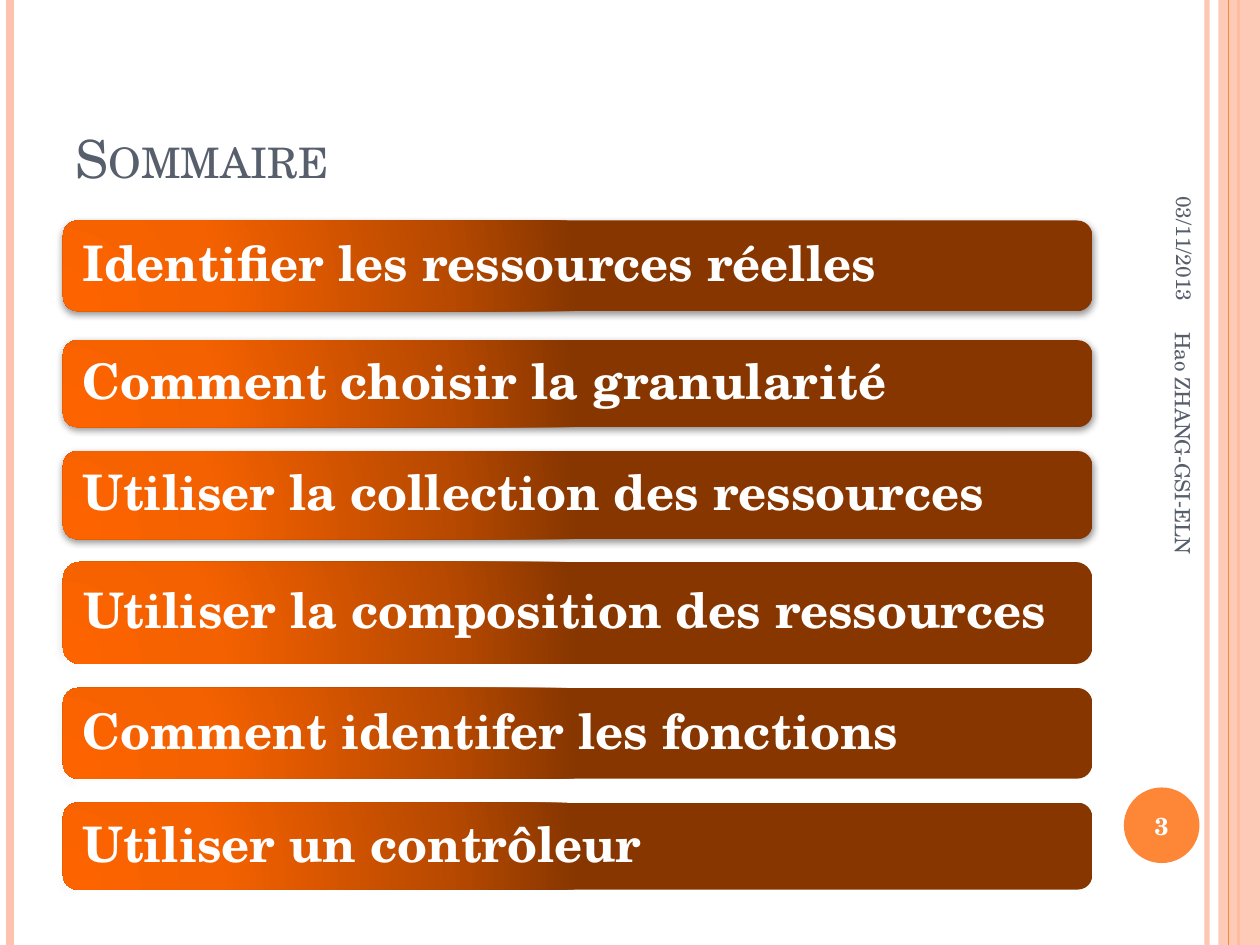
import dataclasses

import lxml.etree
import pptx
import pptx.dml.color
import pptx.enum.shapes
import pptx.enum.text
import pptx.oxml
import pptx.oxml.ns
import pptx.util

SHAPE = pptx.enum.shapes.MSO_SHAPE
ALIGN = pptx.enum.text.PP_ALIGN
ANCHOR = pptx.enum.text.MSO_ANCHOR
NS = pptx.oxml.ns.nsdecls("a")
COLS, ROWS = 100, 75


@dataclasses.dataclass(frozen=True)
class Theme:
    """Colours, font and type sizes of the deck."""
    font: str = "TeX Gyre Schola"
    ink: str = "575F6D"
    accent: str = "FE8637"
    pale: str = "FEC3AE"
    white: str = "FFFFFF"
    shadow: str = "000000"
    bar_stops: tuple = ((0, "FD6400"), (30, "F46100"), (75, "B74900"), (100, "873600"))
    title_size: int = 30
    bar_size: int = 28
    number_size: int = 14
    footer_size: int = 12


class Deck:
    """Holds the theme and the current slide; lengths are grid columns and rows."""

    def __init__(self, theme):
        """Start a 10 by 7.5 inch deck with one blank slide."""
        self.theme = theme
        self.prs = pptx.Presentation()
        self.prs.slide_width = pptx.util.Inches(10)
        self.prs.slide_height = pptx.util.Inches(7.5)
        self.slide = self.prs.slides.add_slide(self.prs.slide_layouts[6])

    def grid(self, *lengths):
        """Turn alternating columns and rows into slide lengths."""
        units = (self.prs.slide_width / COLS, self.prs.slide_height / ROWS)
        return [round(v * units[i % 2]) for i, v in enumerate(lengths)]

    def rgb(self, colour):
        """Return a colour object."""
        return pptx.dml.color.RGBColor.from_string(colour)

    def fade(self, element, opacity):
        """Set the opacity of the first solid colour in an element, in percent."""
        clr = element.find(".//" + pptx.oxml.ns.qn("a:srgbClr"))
        lxml.etree.SubElement(clr, pptx.oxml.ns.qn("a:alpha"), val=str(opacity * 1000))

    def rule(self, x, colour, width, opacity=100):
        """Draw a vertical line over the full height."""
        line = self.slide.shapes.add_connector(
            pptx.enum.shapes.MSO_CONNECTOR.STRAIGHT, *self.grid(x, 0, x, ROWS))
        line.line.color.rgb = self.rgb(colour)
        line.line.width = pptx.util.Pt(width)
        if opacity < 100:
            self.fade(line._element.spPr, opacity)
        lxml.etree.SubElement(line._element.spPr, pptx.oxml.ns.qn("a:effectLst"))

    def shape(self, kind, box, colour=None, opacity=100):
        """Add a preset shape without outline or shadow."""
        sp = self.slide.shapes.add_shape(kind, *self.grid(*box))
        sp.line.fill.background()
        sp.shadow.inherit = False
        if colour:
            sp.fill.solid()
            sp.fill.fore_color.rgb = self.rgb(colour)
            if opacity < 100:
                self.fade(sp._element.spPr, opacity)
        return sp

    def label(self, sp, text, size, colour, bold=False, align=ALIGN.LEFT, anchor=ANCHOR.MIDDLE):
        """Put one styled paragraph into a shape and return it."""
        tf = sp.text_frame
        tf.word_wrap = True
        tf.vertical_anchor = anchor
        p = tf.paragraphs[0]
        p.text = text
        p.alignment = align
        p.font.name, p.font.size, p.font.bold = self.theme.font, pptx.util.Pt(size), bold
        p.font.color.rgb = self.rgb(colour)
        return p

    def text(self, box, text, size, rotation=0, **style):
        """Add a text box in the ink colour."""
        sp = self.slide.shapes.add_textbox(*self.grid(*box))
        sp.rotation = rotation
        return self.label(sp, text, size, self.theme.ink, **style)

    def title(self, box, text):
        """Add the heading in small capitals."""
        p = self.text(box, text, self.theme.title_size, anchor=ANCHOR.BOTTOM)
        p.runs[0]._r.get_or_add_rPr().set("cap", "small")

    def badge(self, box, text):
        """Add the round page number."""
        sp = self.shape(SHAPE.OVAL, box, self.theme.accent)
        sp.text_frame.margin_left = sp.text_frame.margin_right = 0
        self.label(sp, text, self.theme.number_size, self.theme.white, True, ALIGN.CENTER)

    def bar(self, box, text):
        """Add a rounded agenda bar with a radial gradient and a soft shadow."""
        sp = self.shape(SHAPE.ROUNDED_RECTANGLE, box)
        stops = "".join(f'<a:gs pos="{pos * 1000}"><a:srgbClr val="{c}"/></a:gs>'
                        for pos, c in self.theme.bar_stops)
        sp._element.spPr.insert(2, pptx.oxml.parse_xml(
            f'<a:gradFill {NS} rotWithShape="1"><a:gsLst>{stops}</a:gsLst><a:path path="circle">'
            '<a:fillToRect l="5000" t="100000" r="120000" b="10000"/></a:path></a:gradFill>'))
        effects = sp._element.spPr.find(pptx.oxml.ns.qn("a:effectLst"))
        effects.append(pptx.oxml.parse_xml(
            f'<a:outerShdw {NS} blurRad="50800" dist="20320" dir="5400000" rotWithShape="0">'
            f'<a:srgbClr val="{self.theme.shadow}"><a:alpha val="42000"/></a:srgbClr></a:outerShdw>'))
        p = self.label(sp, text, self.theme.bar_size, self.theme.white, True)
        p.line_spacing = 0.9
        sp.text_frame.margin_left = sp.text_frame.margin_right = pptx.util.Inches(0.12)


AGENDA = (  # top row, rows high, wording
    (17.5, 7.2, "Identifier les ressources réelles"),
    (27.0, 6.9, "Comment choisir la granularité"),
    (35.8, 7.0, "Utiliser la collection des ressources"),
    (44.6, 8.1, "Utiliser la composition des ressources"),
    (54.6, 7.2, "Comment identifer les fonctions"),
    (63.7, 6.9, "Utiliser un contrôleur"),
)


def main():
    """Build the agenda slide."""
    theme = Theme()
    deck = Deck(theme)
    deck.rule(95.8, theme.pale, 3, 93)
    deck.rule(0.8, theme.pale, 4.5)
    deck.rule(98.3, theme.accent, 1.5)
    deck.shape(SHAPE.RECTANGLE, (96.7, 0, 3.3, ROWS), theme.pale, 87)
    deck.rule(97.5, theme.accent, 0.75)
    deck.badge((89.2, 62.5, 6, 6), "3")
    deck.title((5, 3, 81.7, 12.5), "Sommaire")
    deck.text((83, 11.8, 22, 4.2), "03/11/2013", theme.footer_size, 90, align=ALIGN.RIGHT)
    deck.text((76.4, 40.9, 35, 4), "Hao ZHANG-GSI-ELN", theme.footer_size, 90)
    for top, height, text in AGENDA:
        deck.bar((5, top, 81.7, height), text)
    deck.prs.save("out.pptx")


main()
